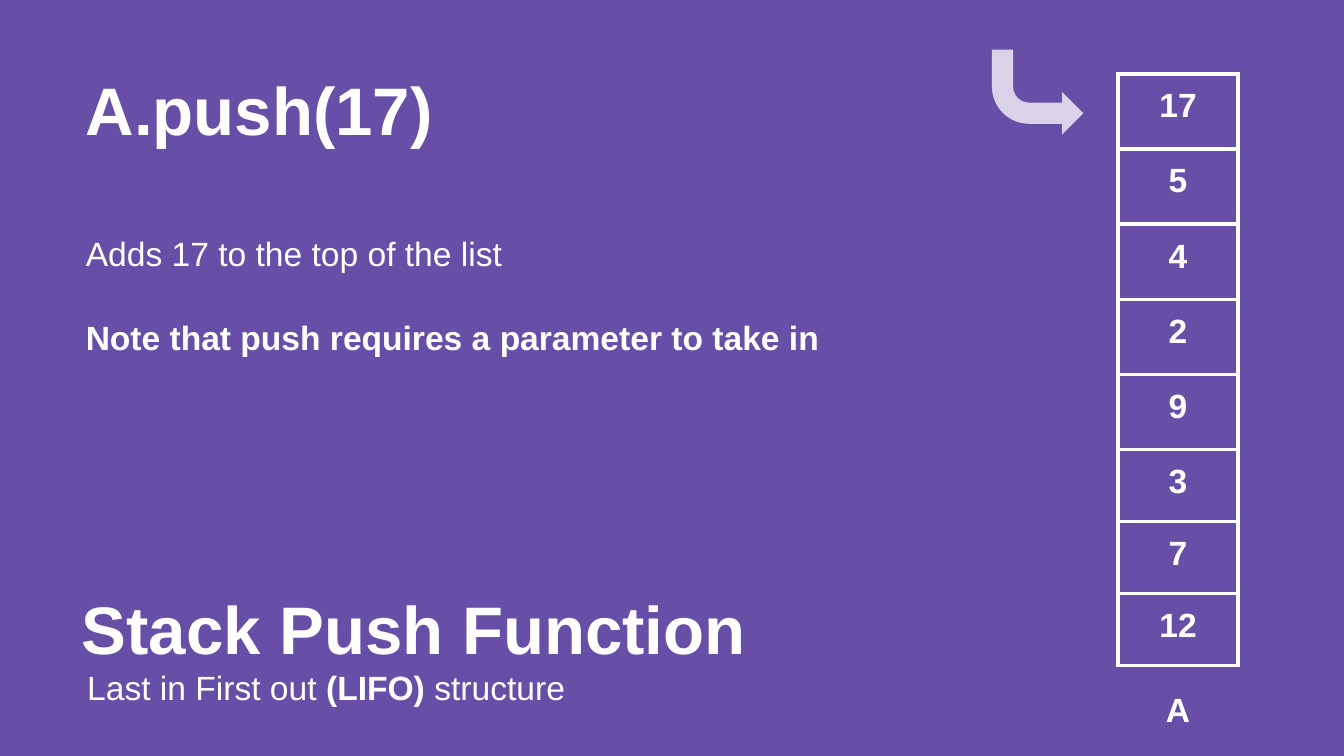
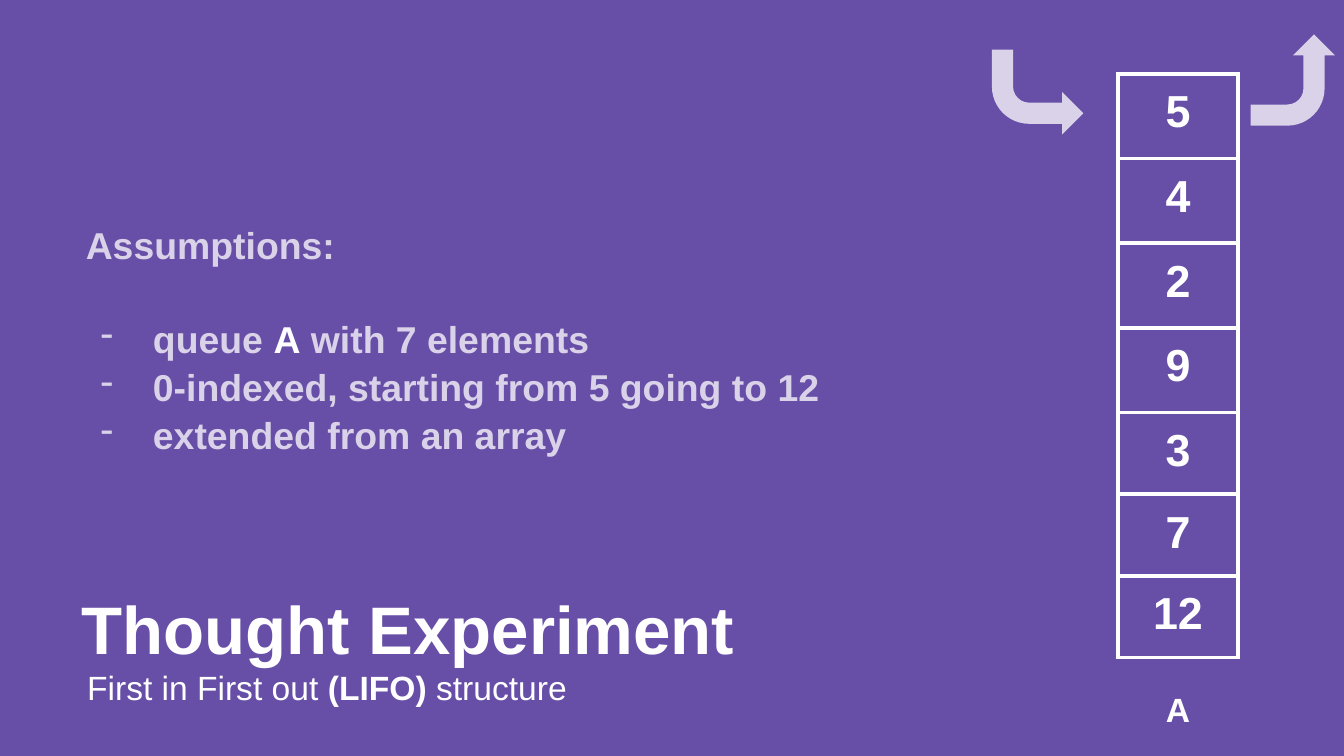
from lxml import etree
from pptx import Presentation
from pptx import util as u
from pptx.dml.color import RGBColor
from pptx.enum import shapes, text
from pptx.oxml import ns

HUES = {"back": "674EA7", "ink": "FFFFFF", "pale": "D9D2E9"}
WIDE, HIGH = 10, 5.625
COLS = ROWS = 100
LINE = 1.08
PITCH = 1.206
FACE = "Arial"


def hue(name):
    """Return the named colour."""
    return RGBColor.from_string(HUES[name])


def cell(box, x, y, w, h):
    """Turn grid columns and rows, counted from a box's corner, into lengths."""
    return (u.Inches((box[0] + x) * WIDE / COLS), u.Inches((box[1] + y) * HIGH / ROWS),
            u.Inches(w * WIDE / COLS), u.Inches(h * HIGH / ROWS))


def style(para, size, bold=False, ink="ink"):
    """Set the font of a paragraph."""
    font = para.font
    font.name, font.size, font.bold = FACE, u.Pt(size), bold
    font.color.rgb = hue(ink)


def write(slide, area, paras):
    """Add a text box; each paragraph is (runs, size, bold, ink, gap)."""
    frame = slide.shapes.add_textbox(*area).text_frame
    frame.word_wrap = True
    for side in ("left", "top", "right", "bottom"):
        setattr(frame, "margin_" + side, u.Inches(0.1))
    for i, (runs, size, bold, ink, gap) in enumerate(paras):
        para = frame.add_paragraph() if i else frame.paragraphs[0]
        style(para, size, bold, ink)
        para.line_spacing = LINE
        if gap:
            para.space_before = u.Pt(round(gap * PITCH, 1))
        for words, *looks in runs:
            run = para.add_run()
            run.text = words
            for key, value in looks:
                if key == "ink":
                    run.font.color.rgb = hue(value)
                else:
                    run.font.bold = value
    return frame


def dash(para, ink):
    """Give a paragraph a hanging dash."""
    props = para._p.get_or_add_pPr()
    props.set("marL", str(u.Inches(0.5)))
    props.set("indent", str(u.Inches(-0.39)))
    mark = etree.Element(ns.qn("a:buClr"))
    etree.SubElement(mark, ns.qn("a:srgbClr"), val=HUES[ink])
    sign = etree.Element(ns.qn("a:buChar"), char="-")
    font = props.find(ns.qn("a:defRPr"))
    font.addprevious(mark)
    font.addprevious(sign)


def edge(item):
    """Draw the four borders of a table cell."""
    props = item._tc.get_or_add_tcPr()
    for i, side in enumerate(("lnL", "lnR", "lnT", "lnB")):
        line = etree.Element(ns.qn("a:" + side), w=str(u.Pt(2.25)))
        fill = etree.SubElement(line, ns.qn("a:solidFill"))
        etree.SubElement(fill, ns.qn("a:srgbClr"), val=HUES["ink"])
        props.insert(i, line)


def stack(slide, box, items, size, tall, short):
    """Draw the stack as a table, its last three rows shorter, with its name below."""
    steps = [tall] * (len(items) - 3) + [short] * 3
    area = cell(box, 2.4, 0, 8.9, sum(steps))
    table = slide.shapes.add_table(len(items), 1, *area).table
    table.first_row = table.horz_banding = False
    for i, (item, step) in enumerate(zip(items, steps)):
        table.rows[i].height = cell(box, 0, 0, 0, step)[3]
        slot = table.cell(i, 0)
        slot.fill.background()
        for side in ("left", "top", "right", "bottom"):
            setattr(slot, "margin_" + side, u.Inches(0.1))
        slot.text = str(item)
        para = slot.text_frame.paragraphs[0]
        para.alignment = text.PP_ALIGN.CENTER
        style(para, size, True)
        edge(slot)
    name = write(slide, cell(box, 0, 79.11, 13.7, 8.36), [([("A",)], 18, True, "ink", 0)])
    name.paragraphs[0].alignment = text.PP_ALIGN.CENTER


def arrow(slide, box, turn):
    """Draw a mirrored bent arrow, turned by some degrees."""
    bend = slide.shapes.add_shape(shapes.MSO_SHAPE.BENT_ARROW, *cell(box, 0, 0, 6.8, 11.2))
    bend.adjustments[3] = 0.44
    bend.rotation = turn
    bend._element.spPr.xfrm.set("flipH", "1")
    bend.shadow.inherit = False
    bend.fill.solid()
    bend.fill.fore_color.rgb = hue("pale")
    bend.line.fill.background()


def foot(slide, box, title, order):
    """Write the slide's title and the line on its order below."""
    write(slide, cell(box, 0, 0, 74, 14.4), [([(title,)], 36, True, "ink", 0)])
    runs = [(order + " out ",), ("(LIFO) ", ("bold", True)), ("structure",)]
    write(slide, cell(box, 0.4, 11.02, 63.5, 12.62), [(runs, 18, False, "ink", 0)])


def base(deck, title, order):
    """Add a slide with the parts that all slides share."""
    slide = deck.slides.add_slide(deck.slide_layouts[6])
    slide.background.fill.solid()
    slide.background.fill.fore_color.rgb = hue("back")
    foot(slide, (5.1, 75.02), title, order)
    arrow(slide, (73.8, 6.58), 180)
    return slide


def push(deck):
    """Build the slide on the push function."""
    slide = base(deck, "Stack Push Function", "Last in First")
    write(slide, cell((5.4, 6.4), 0, 0, 79, 78.4), [
        ([("A.push(17)",)], 36, True, "ink", 0),
        ([("Adds 17 to the top of the list",)], 18, False, "ink", 36),
        ([("Note that push requires a parameter to take in",)], 18, True, "ink", 18)])
    stack(slide, (80.8, 9.78), [17, 5, 4, 2, 9, 3, 7, 12], 18, 9.94, 9.53)


def think(deck):
    """Build the slide with the thought experiment."""
    slide = base(deck, "Thought Experiment", "First in First")
    points = [[("queue ",), ("A", ("ink", "ink")), (" with 7 elements",)],
              [("0-indexed, starting from 5 going to 12",)],
              [("extended from an array",)]]
    paras = [([("Assumptions:",)], 20, True, "pale", 0)]
    paras += [(runs, 20, True, "pale", 0 if i else 20) for i, runs in enumerate(points)]
    frame = write(slide, cell((5.4, 27.2), 0, 0, 79, 37), paras)
    for para in frame.paragraphs[1:]:
        dash(para, "pale")
    stack(slide, (80.8, 9.78), [5, 4, 2, 9, 3, 7, 12], 24, 11.2, 10.81)
    arrow(slide, (92.8, 4.98), 90)


def main():
    """Build and save the deck."""
    deck = Presentation()
    deck.slide_width, deck.slide_height = u.Inches(WIDE), u.Inches(HIGH)
    push(deck)
    think(deck)
    deck.save("out.pptx")


if __name__ == "__main__":
    main()
